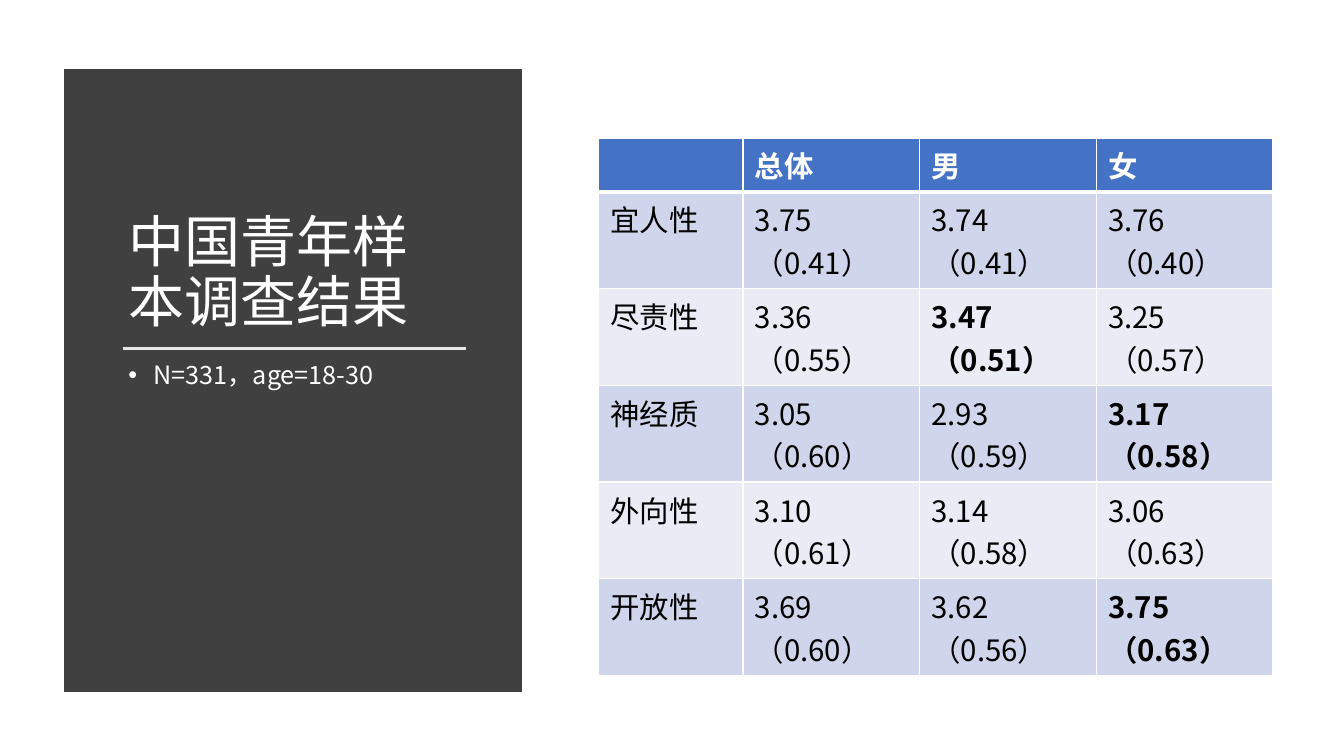
from dataclasses import dataclass

from lxml.etree import SubElement
from pptx import Presentation
from pptx.dml.color import RGBColor
from pptx.enum.shapes import MSO_CONNECTOR, MSO_SHAPE
from pptx.enum.text import MSO_ANCHOR, MSO_AUTO_SIZE, PP_ALIGN
from pptx.oxml import parse_xml
from pptx.oxml.ns import nsdecls, qn
from pptx.text.text import TextFrame
from pptx.util import Pt

FONT = "Noto Sans CJK SC"
COLORS = {
    "panel": "404040", "rule": "E7E6E6", "white": "FFFFFF", "black": "000000",
    "head": "4472C4", "odd": "CFD5EA", "even": "E9EBF5",
}


@dataclass
class Trait:
    name: str
    scores: tuple[str, str, str]
    bold: int | None = None  # index of the score in bold


HEADS = ("", "总体", "男", "女")
TRAITS = (
    Trait("宜人性", ("3.75（0.41）", "3.74（0.41）", "3.76（0.40）")),
    Trait("尽责性", ("3.36（0.55）", "3.47（0.51）", "3.25（0.57）"), bold=1),
    Trait("神经质", ("3.05（0.60）", "2.93（0.59）", "3.17（0.58）"), bold=2),
    Trait("外向性", ("3.10（0.61）", "3.14（0.58）", "3.06（0.63）")),
    Trait("开放性", ("3.69（0.60）", "3.62（0.56）", "3.75（0.63）"), bold=2),
)


def color(name: str) -> RGBColor:
    return RGBColor.from_string(COLORS[name])


def write(frame: TextFrame, text: str, *, size: float, ink: str = "white",
          bold: bool = False, lead: float | None = None, bullet: bool = False) -> None:
    frame.word_wrap = True
    para = frame.paragraphs[0]
    para.alignment = PP_ALIGN.LEFT
    if bullet:
        props = para._p.get_or_add_pPr()
        props.set("marL", str(Pt(18)))
        props.set("indent", str(-Pt(18)))
        SubElement(props, qn("a:buFont")).set("typeface", "Arial")
        SubElement(props, qn("a:buChar")).set("char", "•")
    if lead:
        para.line_spacing = lead
    para.font.size = Pt(size)
    if not text:
        return
    run = para.add_run()
    run.text = text
    font = run.font
    font.name, font.size, font.bold = FONT, Pt(size), bold
    font.color.rgb = color(ink)
    SubElement(run._r.get_or_add_rPr(), qn("a:ea")).set("typeface", FONT)


def edge(cell, top: float = 1, bottom: float = 1) -> None:
    props = cell._tc.get_or_add_tcPr()
    sides = (("L", 1), ("R", 1), ("T", top), ("B", bottom))
    for spot, (side, width) in enumerate(sides):
        props.insert(spot, parse_xml(
            f'<a:ln{side} {nsdecls("a")} w="{Pt(width)}"><a:solidFill>'
            f'<a:srgbClr val="{COLORS["white"]}"/></a:solidFill></a:ln{side}>'))


def draw_side(slide) -> None:
    # Dark panel with square corners, behind the title
    panel = slide.shapes.add_shape(
        MSO_SHAPE.RECTANGLE, Pt(50.4), Pt(54.4), Pt(317.2), Pt(435.2))
    panel.shadow.inherit = False
    panel.fill.solid()
    panel.fill.fore_color.rgb = color("panel")
    panel.line.color.rgb = color("panel")
    panel.line.width = Pt(10)
    SubElement(panel.line._get_or_add_ln(), qn("a:miter")).set("lim", "800000")
    slide.shapes._spTree.insert(2, panel._element)

    # Title
    title = slide.shapes.title
    title.left, title.top, title.width, title.height = (
        Pt(84.6), Pt(79.9), Pt(247.7), Pt(162.7))
    title.text_frame.auto_size = MSO_AUTO_SIZE.NONE
    title.text_frame.vertical_anchor = MSO_ANCHOR.BOTTOM
    write(title.text_frame, "中国青年样本调查结果", size=40, lead=0.9)

    # Rule below the title
    rule = slide.shapes.add_connector(
        MSO_CONNECTOR.STRAIGHT, Pt(88.2), Pt(249.1), Pt(333), Pt(249.1))
    rule.line.color.rgb = color("rule")
    rule.line.width = Pt(1.75)
    SubElement(rule._element.spPr, qn("a:effectLst"))

    # Sample note
    note = slide.shapes.add_textbox(Pt(84.6), Pt(255.6), Pt(247.7), Pt(175.7))
    write(note.text_frame, "N=331，age=18-30", size=18, lead=0.9, bullet=True)


def draw_table(slide) -> None:
    grid = slide.shapes.add_table(
        len(TRAITS) + 1, len(HEADS), Pt(427.7), Pt(98.6), Pt(481.6), Pt(384)).table
    for index, column in enumerate(grid.columns):
        column.width = Pt(126.2 if index else 103)
    for index, row in enumerate(grid.rows):
        row.height = Pt(69.1 if index else 38.5)

    lines = [HEADS] + [(trait.name, *trait.scores) for trait in TRAITS]
    for y, line in enumerate(lines):
        fill = "head" if y == 0 else "odd" if y % 2 else "even"
        for x, text in enumerate(line):
            cell = grid.cell(y, x)
            cell.margin_left = cell.margin_right = Pt(8.4)
            cell.margin_top = cell.margin_bottom = Pt(4.2)
            edge(cell, top=3 if y == 1 else 1, bottom=1 if y else 3)
            cell.fill.solid()
            cell.fill.fore_color.rgb = color(fill)
            bold = y == 0 or (x > 0 and TRAITS[y - 1].bold == x - 1)
            write(cell.text_frame, text, size=21, bold=bold,
                  ink="black" if y else "white")


def main() -> None:
    deck = Presentation()
    deck.slide_width, deck.slide_height = Pt(960), Pt(540)
    slide = deck.slides.add_slide(deck.slide_layouts[5])
    draw_side(slide)
    draw_table(slide)
    deck.save("out.pptx")


if __name__ == "__main__":
    main()
